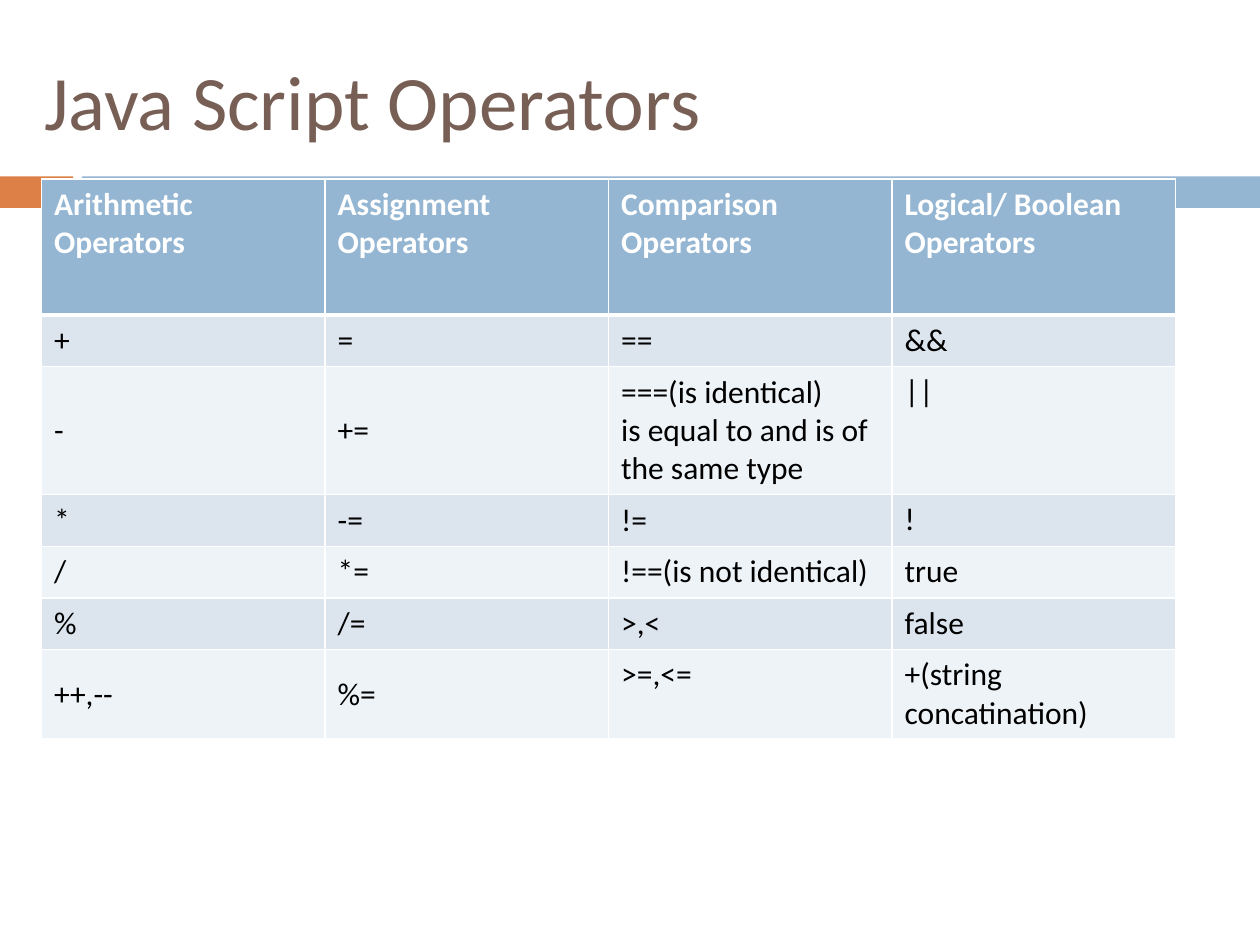
import lxml.etree
import pptx
import pptx.dml.color
import pptx.enum.shapes
import pptx.enum.text
import pptx.oxml.ns
import pptx.util

COLORS = {
    "accent": "DD8047", "header": "94B6D2", "title": "775F55",
    "odd": "DCE5EE", "even": "EEF3F7", "white": "FFFFFF", "black": "000000",
}
SLIDE_WIDTH, SLIDE_HEIGHT = 10, 7.5
HEADER_HEIGHT, ROW_HEIGHT = 1.08, 0.41
OPERATORS = [
    ["Arithmetic Operators", "Assignment Operators", "Comparison Operators", "Logical/ Boolean Operators"],
    ["+", "=", "==", "&&"],
    ["-", "+=", "===(is identical)\nis equal to and is of the same type", "||"],
    ["*", "-=", "!=", "!"],
    ["/", "*=", "!==(is not identical)", "true"],
    ["%", "/=", ">,<", "false"],
    ["++,--", "%=", ">=,<=", "+(string concatination)"],
]
TOP_ANCHORED = {(6, 2)} | {(row, 3) for row in range(1, 7)}


def color(name):
    """Return the named colour."""
    return pptx.dml.color.RGBColor.from_string(COLORS[name])


def place(shape, box):
    """Move and size a shape to a box in inches."""
    for name, length in zip(("left", "top", "width", "height"), box):
        setattr(shape, name, pptx.util.Inches(length))


def write(text_frame, text, size, color_name, bold=False):
    """Fill a text frame with formatted left-aligned paragraphs."""
    text_frame.text = text
    formats = {"name": "Calibri", "size": pptx.util.Pt(size), "bold": bold}
    for paragraph in text_frame.paragraphs:
        paragraph.alignment = pptx.enum.text.PP_ALIGN.LEFT
        for run in paragraph.runs:
            for name, value in formats.items():
                setattr(run.font, name, value)
            run.font.color.rgb = color(color_name)


def add_band(slide, box):
    """Draw the two-colour band, split by a narrow gap, across the box."""
    left, top, width, height = box
    for start, share, name in ((0, 0.058, "accent"), (0.065, 0.935, "header")):
        bar = slide.shapes.add_shape(pptx.enum.shapes.MSO_SHAPE.RECTANGLE, 0, 0, 0, 0)
        place(bar, (left + start * width, top, share * width, height))
        bar.shadow.inherit = False
        bar.fill.solid()
        bar.fill.fore_color.rgb = color(name)
        bar.line.fill.background()


def add_title(slide, box):
    """Place and format the slide title."""
    title = slide.shapes.title
    place(title, box)
    write(title.text_frame, "Java Script Operators", 44, "title")
    title.text_frame.vertical_anchor = pptx.enum.text.MSO_ANCHOR.MIDDLE


def add_borders(cell, widths):
    """Draw white borders of the given point widths around a cell."""
    properties = cell._tc.get_or_add_tcPr()
    for side, width in widths.items():
        line = lxml.etree.SubElement(
            properties, pptx.oxml.ns.qn(f"a:ln{side}"), w=str(pptx.util.Pt(width)))
        fill = lxml.etree.SubElement(line, pptx.oxml.ns.qn("a:solidFill"))
        lxml.etree.SubElement(fill, pptx.oxml.ns.qn("a:srgbClr"), val=COLORS["white"])


def format_cell(cell, row, column, text):
    """Write one cell and style it by its row and column."""
    is_header = row == 0
    add_borders(cell, {"L": 1, "R": 1, "T": 3 if row == 1 else 1, "B": 3 if is_header else 1})
    cell.fill.solid()
    cell.fill.fore_color.rgb = color("header" if is_header else "odd" if row % 2 else "even")
    write(cell.text_frame, text, 18, "white" if is_header else "black", is_header)
    is_top = is_header or (row, column) in TOP_ANCHORED
    anchors = pptx.enum.text.MSO_ANCHOR
    cell.vertical_anchor = anchors.TOP if is_top else anchors.MIDDLE


def add_operator_table(slide, box):
    """Build the operator table with equal columns in the box."""
    frame = slide.shapes.add_table(
        len(OPERATORS), len(OPERATORS[0]), *map(pptx.util.Inches, box))
    table = frame.table
    for column in table.columns:
        column.width = pptx.util.Inches(box[2] / len(table.columns))
    for row, texts in enumerate(OPERATORS):
        table.rows[row].height = pptx.util.Inches(ROW_HEIGHT if row else HEADER_HEIGHT)
        for column, text in enumerate(texts):
            format_cell(table.cell(row, column), row, column, text)


def main():
    """Build and save the slide."""
    presentation = pptx.Presentation()
    presentation.slide_width = pptx.util.Inches(SLIDE_WIDTH)
    presentation.slide_height = pptx.util.Inches(SLIDE_HEIGHT)
    slide = presentation.slides.add_slide(presentation.slide_layouts.get_by_name("Title Only"))
    add_band(slide, (0, 1.4, SLIDE_WIDTH, 0.25))
    add_title(slide, (0.25, 0.17, 0.9 * SLIDE_WIDTH, 1.25))
    add_operator_table(slide, (0.33, 1.42, 0.9 * SLIDE_WIDTH, 4.41))
    presentation.save("out.pptx")


if __name__ == "__main__":
    main()
